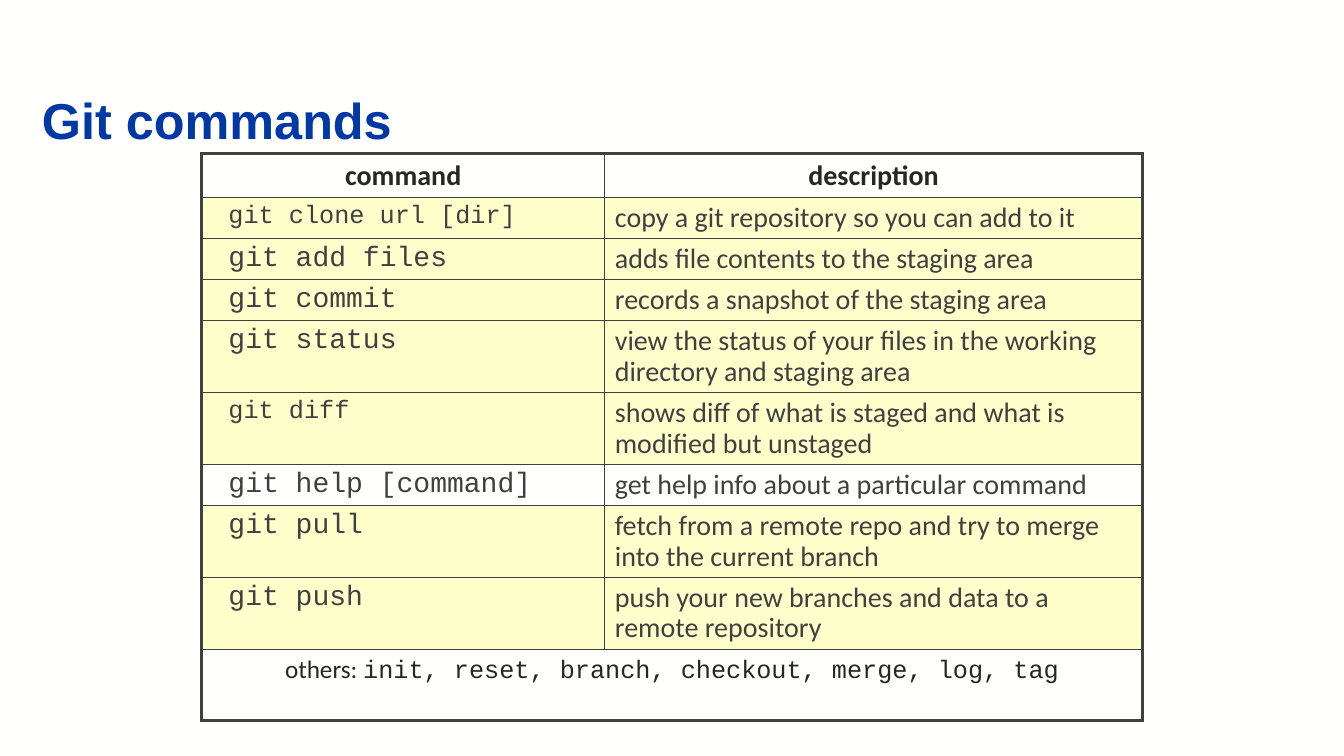
"""Builds a slide with a table of common Git commands."""
from pptx import Presentation
from pptx.dml.color import RGBColor
from pptx.enum.text import MSO_ANCHOR, MSO_AUTO_SIZE, PP_ALIGN
from pptx.oxml import parse_xml
from pptx.oxml.ns import nsdecls
from pptx.util import Pt

BLUE = RGBColor(0x00, 0x39, 0xA6)
DARK = RGBColor(0x26, 0x26, 0x26)
GRAY = RGBColor(0x40, 0x40, 0x41)
YELLOW = RGBColor(0xFF, 0xFF, 0xCC)
PAPER = RGBColor(0xFF, 0xFF, 0xFE)
SANS, MONO = "Calibri", "Courier New"

TITLE = "Git commands"
HEADERS = ("command", "description")
COMMANDS = [
    ("git clone url [dir]", 18, "copy a git repository so you can add to it", YELLOW),
    ("git add files", 20, "adds file contents to the staging area", YELLOW),
    ("git commit", 20, "records a snapshot of the staging area", YELLOW),
    ("git status", 20, "view the status of your files in the working directory and staging area", YELLOW),
    ("git diff", 18, "shows diff of what is staged and what is modified but unstaged", YELLOW),
    ("git help [command]", 20, "get help info about a particular command", None),
    ("git pull", 20, "fetch from a remote repo and try to merge into the current branch", YELLOW),
    ("git push", 20, "push your new branches and data to a remote repository", YELLOW),
]
OTHERS = (("others: ", SANS), ("init, reset, branch, checkout, merge, log, tag", MONO))

COL_WIDTHS = (288, 384)
HEADER_H, SINGLE_H, DOUBLE_H = 31, 29, 51
LINE_CHARS = 45
CODE_MARGIN = 19.2
THICK, THIN = 2.25, 1


def set_font(target, name, size, color, bold=False):
    font = target.font
    font.name, font.size, font.bold = name, Pt(size), bold
    font.color.rgb = color


def set_borders(cell, **widths):
    tcPr = cell._tc.get_or_add_tcPr()
    for side in "LRTB":
        tcPr.append(parse_xml(
            f'<a:ln{side} {nsdecls("a")} w="{Pt(widths[side])}"><a:solidFill>'
            f'<a:srgbClr val="{GRAY}"/></a:solidFill></a:ln{side}>'))


def write_cell(cell, text, name, size, color, bold=False, centred=False):
    p = cell.text_frame.paragraphs[0]
    p.text = text
    if centred:
        p.alignment = PP_ALIGN.CENTER
    else:
        p.line_spacing = 0.9
    set_font(p, name, size, color, bold)


def add_title(s):
    title = s.shapes.title
    title.left, title.top, title.width, title.height = Pt(30), Pt(67.5), Pt(900), Pt(40)
    tf = title.text_frame
    tf.auto_size = MSO_AUTO_SIZE.NONE
    tf.vertical_anchor = MSO_ANCHOR.BOTTOM
    tf.margin_left = tf.margin_right = tf.margin_top = tf.margin_bottom = 0
    p = tf.paragraphs[0]
    p.text = TITLE
    p.alignment = PP_ALIGN.LEFT
    p.line_spacing = 0.9
    set_font(p, "Arial", 36, BLUE, True)


def add_commands(s):
    heights = [HEADER_H]
    heights += [DOUBLE_H if len(row[2]) > LINE_CHARS else SINGLE_H for row in COMMANDS]
    heights.append(DOUBLE_H)
    last = len(heights) - 1
    table = s.shapes.add_table(len(heights), 2, Pt(144), Pt(109.5),
                               Pt(sum(COL_WIDTHS)), Pt(sum(heights))).table
    table.first_row = table.horz_banding = False
    for col, width in zip(table.columns, COL_WIDTHS):
        col.width = Pt(width)
    for row, height in zip(table.rows, heights):
        row.height = Pt(height)

    fills = [None] + [row[3] for row in COMMANDS] + [None]
    for r, fill in enumerate(fills):
        for c in range(2):
            cell = table.cell(r, c)
            set_borders(cell, L=THIN if c else THICK,
                        R=THICK if c or r == last else THIN,
                        T=THIN if r else THICK,
                        B=THICK if r == last else THIN)
            if fill is None:
                cell.fill.background()
            else:
                cell.fill.solid()
                cell.fill.fore_color.rgb = fill

    for c, header in enumerate(HEADERS):
        write_cell(table.cell(0, c), header, SANS, 20, DARK, bold=True, centred=True)
    for r, (command, size, description, _) in enumerate(COMMANDS, 1):
        table.cell(r, 0).margin_left = Pt(CODE_MARGIN)
        write_cell(table.cell(r, 0), command, MONO, size, GRAY)
        write_cell(table.cell(r, 1), description, SANS, 20, GRAY)

    footer = table.cell(last, 0)
    footer.merge(table.cell(last, 1))
    p = footer.text_frame.paragraphs[0]
    p.alignment = PP_ALIGN.CENTER
    for text, name in OTHERS:
        run = p.add_run()
        run.text = text
        set_font(run, name, 18, DARK)


def main():
    prs = Presentation()
    prs.slide_width, prs.slide_height = Pt(960), Pt(540)
    s = prs.slides.add_slide(prs.slide_layouts[5])
    s.background.fill.solid()
    s.background.fill.fore_color.rgb = PAPER
    add_title(s)
    add_commands(s)
    prs.save("out.pptx")


if __name__ == "__main__":
    main()
